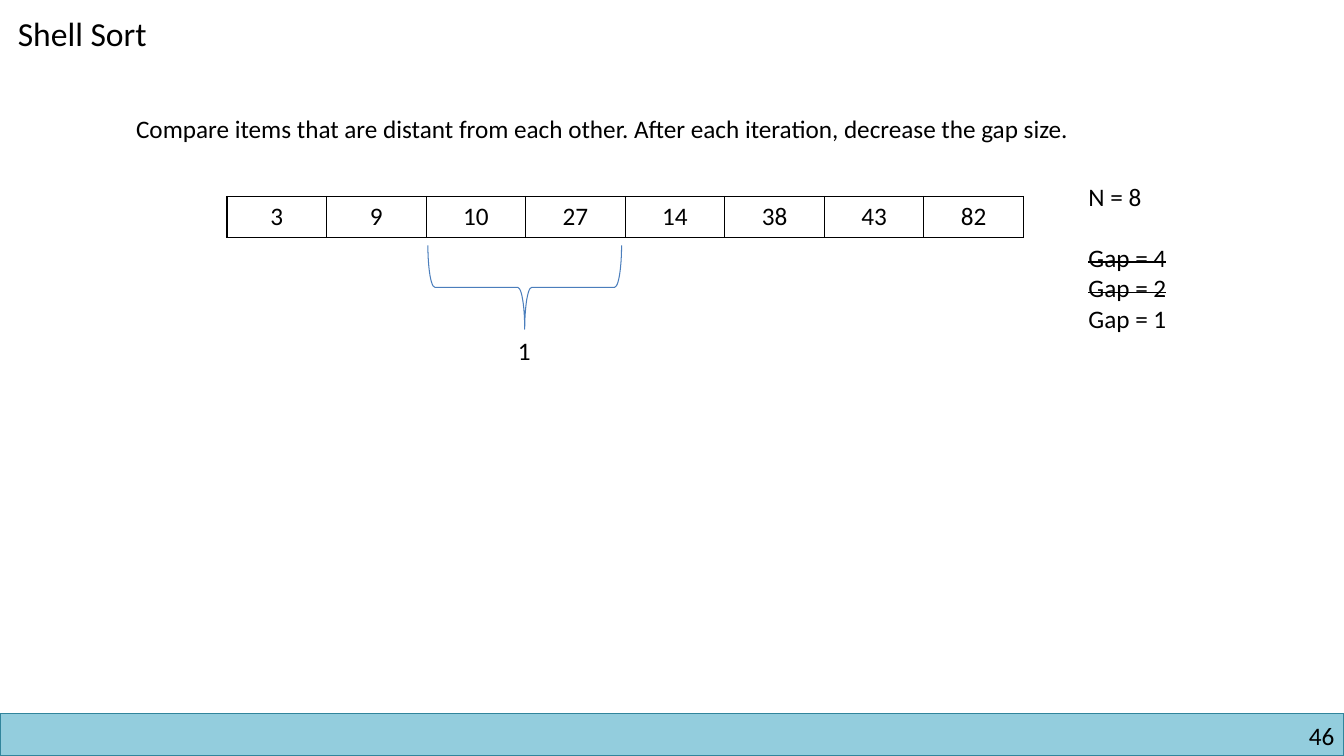
"""Builds the Shell Sort slide that shows the pass with gap 1."""
from lxml.etree import SubElement
from pptx import Presentation
from pptx.dml.color import RGBColor
from pptx.enum.shapes import MSO_SHAPE
from pptx.enum.text import MSO_ANCHOR, PP_ALIGN
from pptx.oxml.ns import qn
from pptx.util import Cm, Pt


def color(hex_text):
    return RGBColor.from_string(hex_text)


def write(paragraph, text, size=18, font="Calibri", ink="000000",
          align=PP_ALIGN.LEFT, strike=False, before=0):
    paragraph.alignment = align
    if before:
        paragraph.space_before = Pt(before)
    run = paragraph.add_run()
    run.text = text
    run.font.size = Pt(size)
    run.font.name = font
    run.font.color.rgb = color(ink)
    if strike:
        run._r.get_or_add_rPr().set("strike", "sngStrike")


class SortSlide:
    ink = "000000"
    paper = "FFFFFF"

    def __init__(self, presentation):
        self.slide = presentation.slides.add_slide(presentation.slide_layouts[6])

    def text(self, left, top, width, height, lines, margin=None, **style):
        box = self.slide.shapes.add_textbox(Cm(left), Cm(top), Cm(width), Cm(height))
        frame = box.text_frame
        frame.word_wrap = True
        if margin is not None:
            frame.margin_left = frame.margin_right = Cm(margin)
            frame.margin_top = frame.margin_bottom = Cm(margin)
        for index, (line, extra) in enumerate(lines):
            paragraph = frame.add_paragraph() if index else frame.paragraphs[0]
            write(paragraph, line, ink=self.ink, **style, **extra)

    def shape(self, kind, left, top, width, height, line, weight, fill=None, rotation=0):
        shape = self.slide.shapes.add_shape(kind, Cm(left), Cm(top), Cm(width), Cm(height))
        shape.shadow.inherit = False
        shape.rotation = rotation
        shape.line.color.rgb = color(line)
        shape.line.width = Pt(weight)
        if fill:
            shape.fill.solid()
            shape.fill.fore_color.rgb = color(fill)
        else:
            shape.fill.background()

    def array(self, left, top, cell_width, height, values):
        frame = self.slide.shapes.add_table(
            1, len(values), Cm(left), Cm(top), Cm(cell_width * len(values)), Cm(height))
        table = frame.table
        for column, value in enumerate(values):
            table.columns[column].width = Cm(cell_width)
            cell = table.cell(0, column)
            cell.vertical_anchor = MSO_ANCHOR.TOP
            write(cell.text_frame.paragraphs[0], str(value), ink=self.ink,
                  align=PP_ALIGN.CENTER)
            self.border(cell)
            cell.fill.solid()
            cell.fill.fore_color.rgb = color(self.paper)

    def border(self, cell):
        properties = cell._tc.get_or_add_tcPr()
        for side in ("a:lnL", "a:lnR", "a:lnT", "a:lnB"):
            line = SubElement(properties, qn(side), w=str(Pt(1)))
            fill = SubElement(line, qn("a:solidFill"))
            SubElement(fill, qn("a:srgbClr"), val=self.ink)


def main():
    presentation = Presentation()
    presentation.slide_width = Cm(33.87)
    presentation.slide_height = Cm(19.05)
    page = SortSlide(presentation)

    page.shape(MSO_SHAPE.RECTANGLE, 0, 17.98, 33.87, 1.07, "31859C", 1, fill="93CDDD")
    page.text(25.83, 18.16, 7.8, 0.76, [("46", {})], margin=0, align=PP_ALIGN.RIGHT)
    page.text(0.2, 0.2, 4.6, 1.27, [("Shell Sort", {})], size=24)
    page.text(3.18, 2.74, 26.31, 1.02, [(
        "Compare items that are distant from each other. "
        "After each iteration, decrease the gap size.", {})])
    page.array(5.72, 4.95, 2.51, 1.04, [3, 9, 10, 27, 14, 38, 43, 82])
    page.text(27.18, 4.45, 3.2, 4.11, [
        ("N = 8", {}),
        ("Gap = 4", {"strike": True, "before": 22}),
        ("Gap = 2", {"strike": True}),
        ("Gap = 1", {}),
    ])
    page.shape(MSO_SHAPE.LEFT_BRACE, 12.17, 4.8, 2.11, 4.88, "4B7EBC", 0.75, rotation=270)
    page.text(12.8, 8.33, 0.86, 1.02, [("1", {})])
    presentation.save("out.pptx")


if __name__ == "__main__":
    main()
